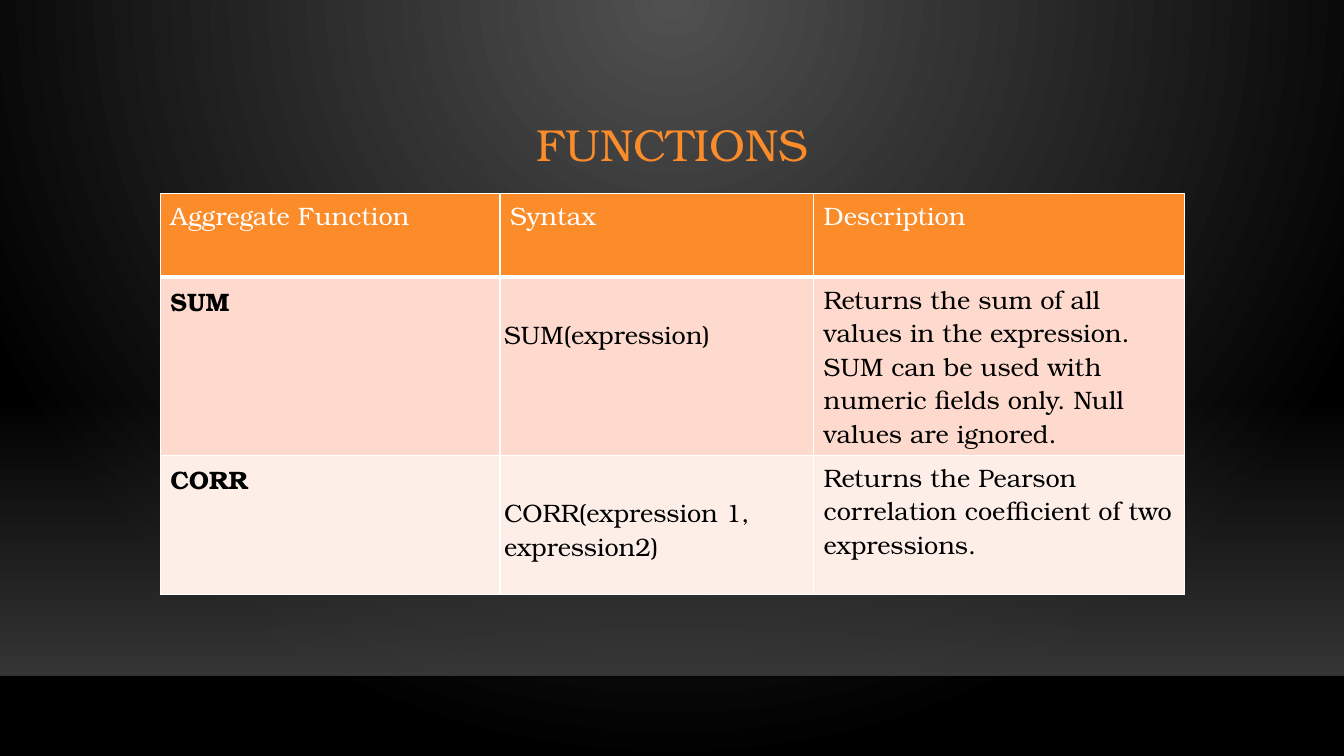
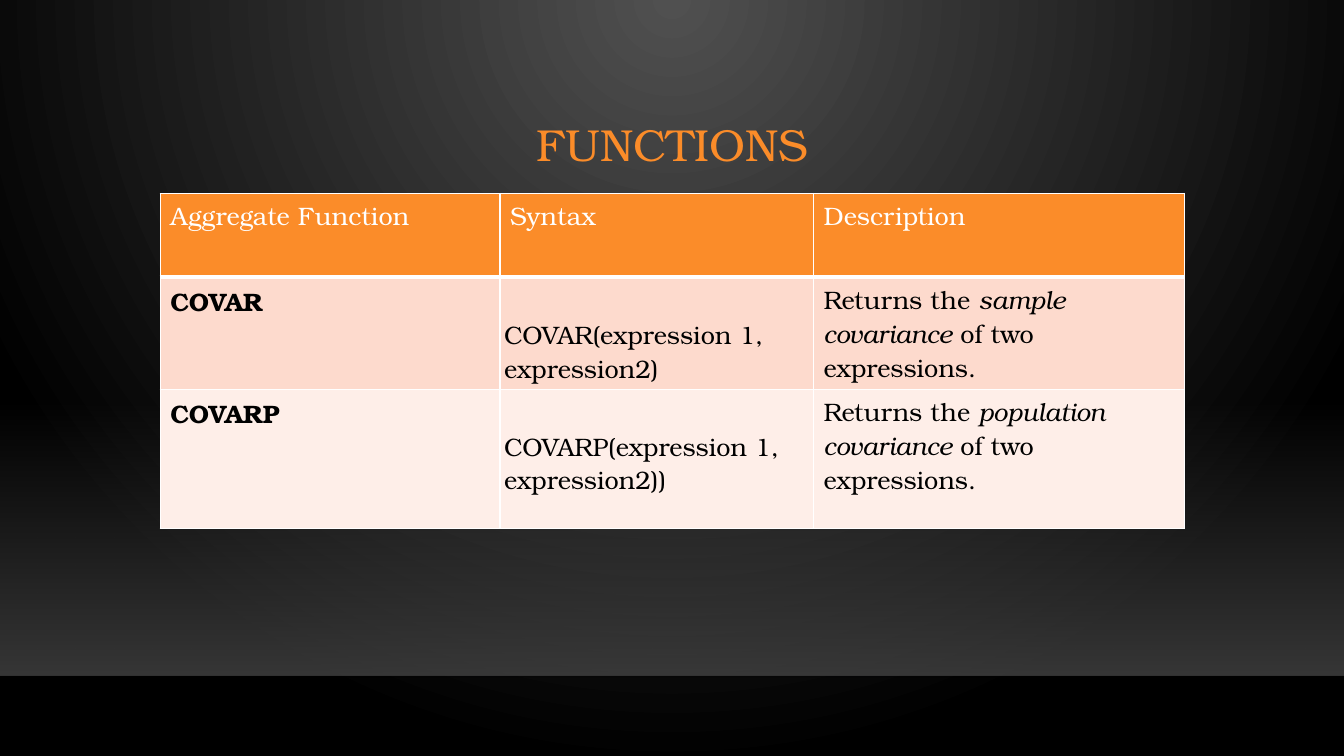
from lxml import etree
from pptx import Presentation
from pptx.dml.color import RGBColor
from pptx.enum import shapes, text
from pptx.oxml import ns
from pptx.util import Inches, Pt

ORANGE = RGBColor(0xFB, 0x8C, 0x29)
PEACH = RGBColor(0xFD, 0xDA, 0xCD)
CREAM = RGBColor(0xFE, 0xEE, 0xE8)
WHITE = RGBColor(0xFF, 0xFF, 0xFF)
BLACK = RGBColor(0x00, 0x00, 0x00)
RULE = RGBColor(0x00, 0x00, 0x01)
GLOW = RGBColor(0x50, 0x50, 0x50)
FLOOR = RGBColor(0x45, 0x45, 0x45)
FONT = "TeX Gyre Bonum"

LEFT, WIDTH = 1.59, 10.16
COLS = [3.37, 3.11, 3.68]
ROWS = [0.83, 0.94, 1.38]
FILLS = [ORANGE, PEACH, CREAM]
HEADER = ("Aggregate Function", "Syntax", "Description")
SLIDES = [
    [
        ("SUM", "SUM(expression)",
         "Returns the sum of all values in the expression. "
         "SUM can be used with numeric fields only. Null values are ignored."),
        ("CORR", "CORR(expression 1, expression2)",
         "Returns the Pearson correlation coefficient of two expressions."),
    ],
    [
        ("COVAR", "COVAR(expression 1, expression2)",
         "Returns the *sample covariance* of two expressions."),
        ("COVARP", "COVARP(expression 1, expression2))",
         "Returns the *population covariance* of two expressions."),
    ],
]


def add_xml(parent, tag, **attrs):
    return etree.SubElement(parent, ns.qn(tag), attrs)


def add_border(cell, index, side, width):
    ln = etree.Element(ns.qn("a:" + side), w=str(Pt(width)))
    fill = add_xml(ln, "a:solidFill")
    add_xml(fill, "a:srgbClr", val=str(WHITE))
    cell._tc.get_or_add_tcPr().insert(index, ln)


prs = Presentation()
prs.slide_width = Inches(13.33)
prs.slide_height = Inches(7.5)
master = prs.slide_master
layout = prs.slide_layouts[5]

fill = master.background.fill
fill.gradient()
for stop, color in zip(fill.gradient_stops, (GLOW, BLACK)):
    stop.color.rgb = color
grad = master.element.find(".//" + ns.qn("a:gradFill"))
grad.remove(grad.find(ns.qn("a:lin")))
circle = add_xml(grad, "a:path", path="circle")
add_xml(circle, "a:fillToRect", l="43000", t="0", r="43000", b="100000")

for number, rows in enumerate(SLIDES):
    s = prs.slides.add_slide(layout)

    if number == 0:
        floor = s.shapes.add_shape(shapes.MSO_SHAPE.RECTANGLE, 0, Inches(3.96),
                                   prs.slide_width, Inches(2.74))
        floor.shadow.inherit = False
        floor.line.fill.background()
        floor.fill.gradient()
        floor.fill.gradient_angle = 270
        for stop in floor.fill.gradient_stops:
            stop.color.rgb = FLOOR
        colors = floor._element.spPr.findall(".//" + ns.qn("a:srgbClr"))
        for color, alpha in zip(colors, ("0", "80000")):
            add_xml(color, "a:alpha", val=alpha)

        rule = s.shapes.add_connector(shapes.MSO_CONNECTOR.STRAIGHT, 0, Inches(6.71),
                                      prs.slide_width, Inches(6.71))
        rule.line.color.rgb = RULE
        rule.line.width = Pt(1)
        add_xml(rule._element.spPr.find(".//" + ns.qn("a:srgbClr")), "a:alpha", val="20000")
        add_xml(rule._element.spPr, "a:effectLst")

        tree = master.shapes._spTree
        for index, sp in enumerate((floor, rule), 2):
            tree.insert(index, sp._element)

    title = s.shapes.title
    title.left, title.top = Inches(LEFT), Inches(0.88)
    title.width, title.height = Inches(WIDTH), Inches(1.15)
    tf = title.text_frame
    tf.text = "FUNCTIONS"
    tf.auto_size = text.MSO_AUTO_SIZE.NONE
    tf.vertical_anchor = text.MSO_ANCHOR.MIDDLE
    p = tf.paragraphs[0]
    p.alignment = text.PP_ALIGN.CENTER
    p.line_spacing = 0.9
    p.font.name, p.font.size = FONT, Pt(32)
    p.font.color.rgb = ORANGE

    table = s.shapes.add_table(len(ROWS), len(COLS), Inches(LEFT), Inches(1.92),
                               Inches(WIDTH), Inches(sum(ROWS))).table
    table.horz_banding = False
    for column, width in zip(table.columns, COLS):
        column.width = Inches(width)
    for r, values in enumerate([HEADER] + rows):
        table.rows[r].height = Inches(ROWS[r])
        for c, value in enumerate(values):
            cell = table.cell(r, c)
            cell.fill.solid()
            cell.fill.fore_color.rgb = FILLS[r]
            widths = (1, 1, 3 if r == 1 else 1, 3 if r == 0 else 1)
            for index, side in enumerate(("lnL", "lnR", "lnT", "lnB")):
                add_border(cell, index, side, widths[index])
            if r > 0 and c == 1:
                cell.margin_left = cell.margin_right = cell.margin_bottom = Inches(0.04)
                cell.margin_top = Inches(0.4)
            p = cell.text_frame.paragraphs[0]
            p.font.name, p.font.size = FONT, Pt(18)
            p.font.bold = r > 0 and c == 0
            p.font.color.rgb = BLACK if r else WHITE
            for part, words in enumerate(value.split("*")):
                run = p.add_run()
                run.text = words
                if part % 2:
                    run.font.italic = True

prs.save("out.pptx")
